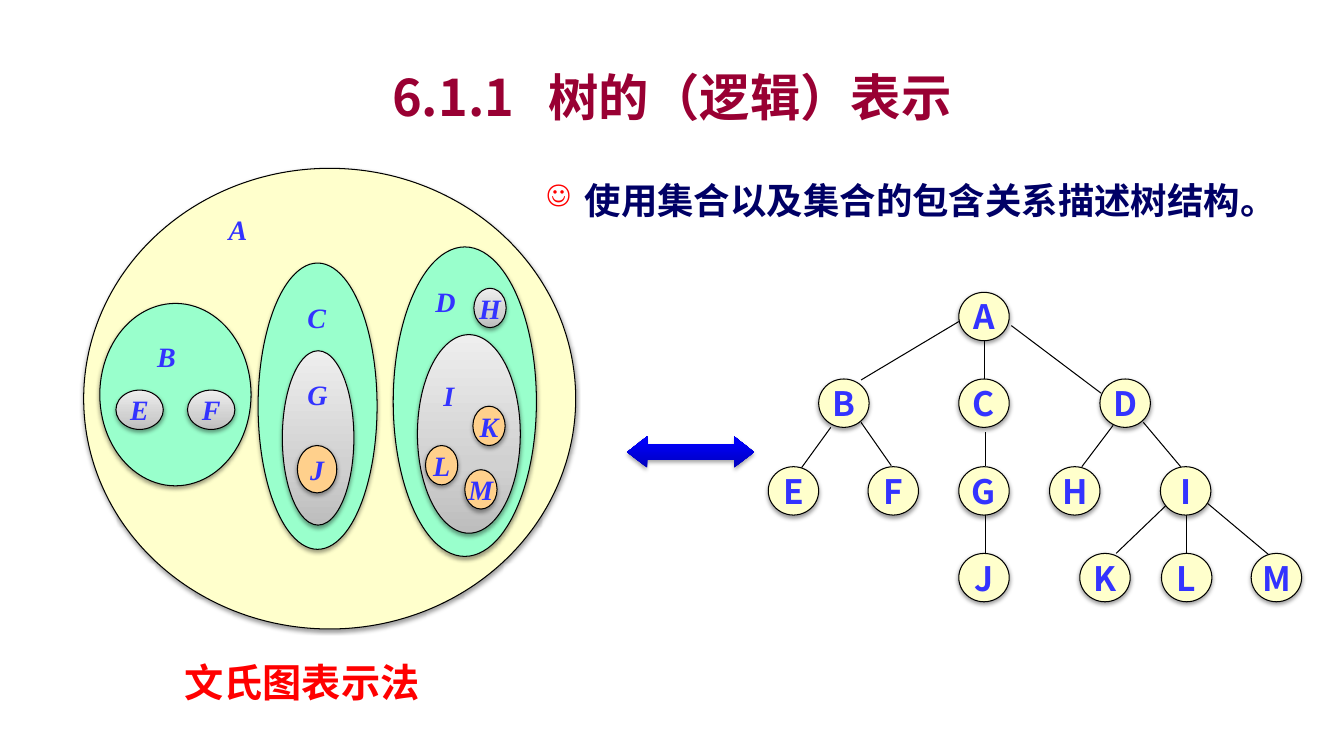
from lxml import etree
from pptx import Presentation
from pptx.dml.color import RGBColor
from pptx.enum import shapes as sh, text as tx
from pptx.oxml import ns
from pptx.util import Inches, Pt

BLACK = RGBColor(0x00, 0x00, 0x00)
BLUE = RGBColor(0x33, 0x33, 0xFF)
NAVY = RGBColor(0x00, 0x00, 0x66)
WINE = RGBColor(0x99, 0x00, 0x33)
RED = RGBColor(0xFF, 0x00, 0x00)
CREAM = RGBColor(0xFF, 0xFF, 0xCC)
MINT = RGBColor(0x99, 0xFF, 0xCC)
PEACH = RGBColor(0xFF, 0xD0, 0x8C)
GREY = ((0, RGBColor(0xBD, 0xBD, 0xBD)), (35, RGBColor(0xD1, 0xD1, 0xD1)),
        (100, RGBColor(0xEE, 0xEE, 0xEE)))
DEEP = ((0, RGBColor(0x00, 0x00, 0xBE)), (80, RGBColor(0x00, 0x00, 0xF7)),
        (100, RGBColor(0x00, 0x00, 0xF8)))
SANS, SERIF = "Noto Sans CJK SC", "Times New Roman"

SETS = [
    (0.83, 1.67, 4.88, 4.57, CREAM, ""),
    (0.99, 3.01, 1.5, 1.81, MINT, ""),
    (1.15, 3.87, 0.47, 0.39, GREY, "E"),
    (1.86, 3.87, 0.47, 0.39, GREY, "F"),
    (2.56, 2.61, 1.18, 2.84, MINT, ""),
    (2.8, 3.48, 0.71, 1.73, GREY, ""),
    (2.95, 4.42, 0.39, 0.47, PEACH, "J"),
    (3.9, 2.45, 1.42, 3.07, MINT, ""),
    (4.14, 3.32, 1.02, 1.97, GREY, ""),
    (4.7, 2.86, 0.32, 0.39, GREY, "H"),
    (4.69, 4.03, 0.32, 0.39, PEACH, "K"),
    (4.22, 4.42, 0.32, 0.39, PEACH, "L"),
    (4.61, 4.66, 0.32, 0.39, PEACH, "M"),
]
TAGS = [("A", 2.17, 2.06), ("B", 1.46, 3.32), ("C", 2.95, 2.93),
        ("G", 2.95, 3.7), ("D", 4.22, 2.77), ("I", 4.3, 3.71)]
TREE = [
    (2.9, {"A": 9.51}),
    (3.76, {"B": 8.12, "C": 9.51, "D": 10.91}),
    (4.63, {"E": 7.62, "F": 8.61, "G": 9.51, "H": 10.41, "I": 11.51}),
    (5.49, {"J": 9.51, "K": 10.71, "L": 11.52, "M": 12.41}),
]
EDGES = [
    (9.51, 3.19, 8.54, 3.77), (9.76, 3.38, 9.76, 3.76),
    (10.03, 3.23, 10.92, 3.9), (8.24, 4.24, 7.95, 4.64),
    (8.54, 4.19, 8.84, 4.62), (9.77, 4.29, 9.77, 4.62),
    (11.04, 4.22, 10.73, 4.63), (11.34, 4.19, 11.71, 4.63),
    (9.77, 5.1, 9.77, 5.49), (11.57, 5.01, 11.07, 5.49),
    (11.77, 5.1, 11.77, 5.49), (11.96, 4.98, 12.58, 5.5),
]


def add(node, tag, **attrs):
    """Append a DrawingML child element and return it."""
    kid = etree.SubElement(node, ns.qn(tag))
    for key, val in attrs.items():
        kid.set(key, str(val))
    return kid


def style(para, face, size, color, slant=False):
    """Format every run of a paragraph in bold."""
    for run in para.runs:
        font = run.font
        font.name, font.size = face, Pt(size)
        font.bold, font.italic = True, slant
        font.color.rgb = color
        add(run._r.get_or_add_rPr(), "a:ea", typeface=face)


def paint(shape, fill):
    """Fill a shape with one colour or with an upward gradient."""
    if isinstance(fill, RGBColor):
        shape.fill.solid()
        shape.fill.fore_color.rgb = fill
        return
    grad = etree.Element(ns.qn("a:gradFill"), rotWithShape="1")
    stops = add(grad, "a:gsLst")
    for pos, color in fill:
        add(add(stops, "a:gs", pos=pos * 1000), "a:srgbClr", val=color)
    add(grad, "a:lin", ang=270 * 60000, scaled=0)
    shape._element.spPr.find(ns.qn("a:prstGeom")).addnext(grad)


def shade(shape, alpha, dist):
    """Give a shape a soft shadow straight below it."""
    shape.shadow.inherit = False
    list_ = shape._element.spPr.find(ns.qn("a:effectLst"))
    outer = add(list_, "a:outerShdw", blurRad=Pt(3.1), dist=Pt(dist),
                dir=90 * 60000, rotWithShape=0)
    add(add(outer, "a:srgbClr", val=BLACK), "a:alpha", val=alpha * 1000)


def oval(slide, box, fill, label, face, size, slant=False):
    """Draw a shadowed ellipse with an optional centred letter."""
    shape = slide.shapes.add_shape(sh.MSO_SHAPE.OVAL, *map(Inches, box))
    paint(shape, fill)
    shape.line.color.rgb = BLACK
    shape.line.width = Pt(0.75)
    shade(shape, 38, 1.6)
    if label:
        frame = shape.text_frame
        frame.text = label
        frame.word_wrap = False
        frame.vertical_anchor = tx.MSO_ANCHOR.MIDDLE
        para = frame.paragraphs[0]
        para.alignment = tx.PP_ALIGN.CENTER
        style(para, face, size, BLUE, slant)


def write(slide, box, words, face, size, color, slant=False, align=None):
    """Add a wrapped text box and return its frame."""
    frame = slide.shapes.add_textbox(*map(Inches, box)).text_frame
    frame.word_wrap = True
    frame.text = words
    para = frame.paragraphs[0]
    para.alignment = align
    style(para, face, size, color, slant)
    return frame


def bullet(para):
    """Hang a red smiling bullet in front of a paragraph."""
    props = para._p.get_or_add_pPr()
    props.set("marL", str(Inches(0.38)))
    props.set("indent", str(Inches(-0.38)))
    add(add(props, "a:buClr"), "a:srgbClr", val=RED)
    add(props, "a:buSzPct", val=80000)
    add(props, "a:buChar", char="☺")
    para.line_spacing = 1.5
    para.space_after = Pt(6)


def edge(slide, ends):
    """Draw a thin black line between two points."""
    line = slide.shapes.add_connector(sh.MSO_CONNECTOR.STRAIGHT,
                                      *map(Inches, ends))
    line.line.color.rgb = BLACK
    line.line.width = Pt(0.75)
    add(line._element.spPr, "a:effectLst")


def arrow(slide):
    """Draw the double arrow between the two diagrams."""
    box = map(Inches, (6.22, 4.33, 1.26, 0.31))
    shape = slide.shapes.add_shape(sh.MSO_SHAPE.LEFT_RIGHT_ARROW, *box)
    shape.adjustments[0], shape.adjustments[1] = 0.5, 0.64
    paint(shape, DEEP)
    shape.line.fill.background()
    shade(shape, 35, 1.8)


def main():
    """Build the slide and save it."""
    deck = Presentation()
    deck.slide_width, deck.slide_height = Inches(13.33), Inches(7.5)
    slide = deck.slides.add_slide(deck.slide_layouts[6])
    mid = tx.PP_ALIGN.CENTER
    head = write(slide, (1, 0.58, 11.33, 0.75), "6.1.1   树的（逻辑）表示",
                 SANS, 36, WINE, align=mid)
    head.vertical_anchor = tx.MSO_ANCHOR.MIDDLE
    write(slide, (1.46, 6.48, 3.07, 0.57), "文氏图表示法", SANS, 28, RED,
          align=mid)
    body = write(slide, (5.32, 1.5, 7.68, 1),
                 "使用集合以及集合的包含关系描述树结构。", SANS, 26, NAVY)
    bullet(body.paragraphs[0])
    for *box, fill, label in SETS:
        oval(slide, box, fill, label, SERIF, 20, True)
    for label, x, y in TAGS:
        write(slide, (x, y, 0.4, 0.43), label, SERIF, 20, BLUE, True)
    arrow(slide)
    for ends in EDGES:
        edge(slide, ends)
    for y, row in TREE:
        for label, x in row.items():
            oval(slide, (x, y, 0.5, 0.48), CREAM, label, SANS, 24)
    deck.save("out.pptx")


if __name__ == "__main__":
    main()
